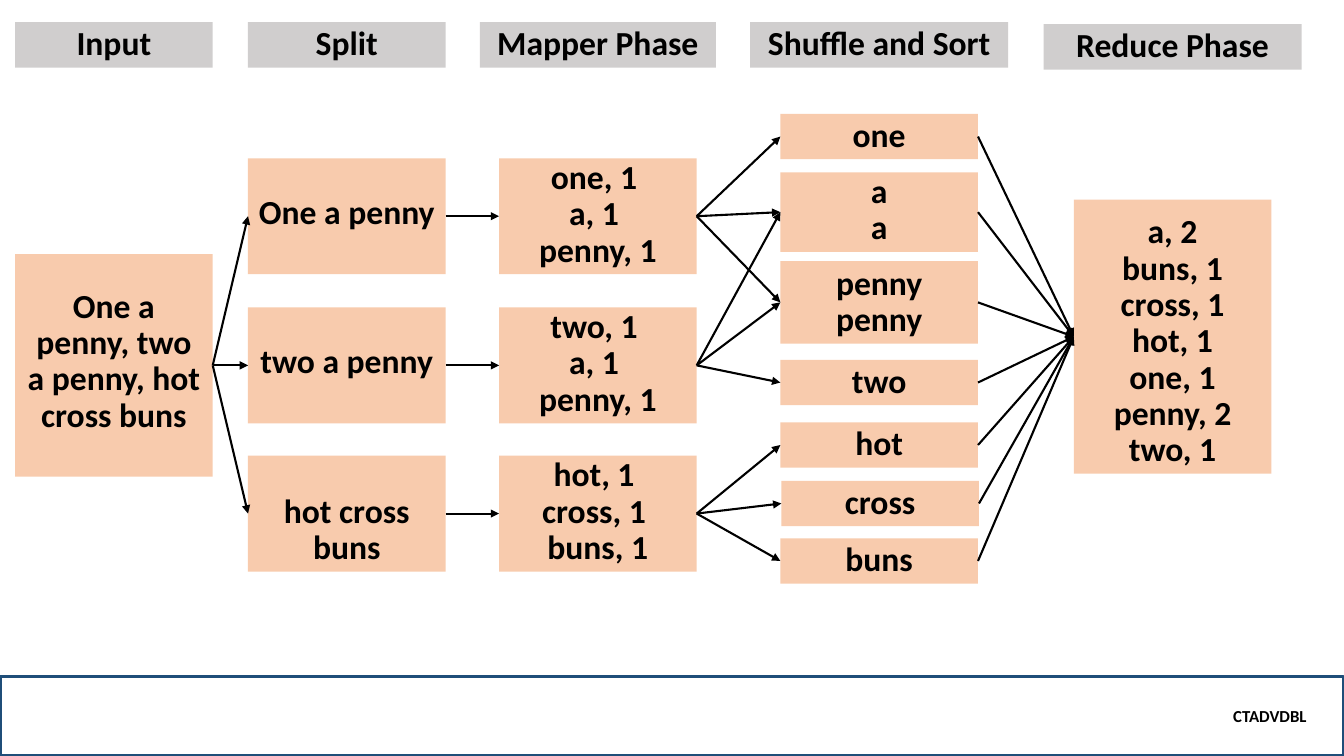
from dataclasses import dataclass

from lxml.etree import SubElement
from pptx import Presentation
from pptx.dml.color import RGBColor
from pptx.enum.shapes import MSO_CONNECTOR, MSO_SHAPE
from pptx.enum.text import MSO_ANCHOR, PP_ALIGN
from pptx.oxml.ns import qn
from pptx.shapes.autoshape import Shape
from pptx.slide import Slide
from pptx.util import Emu, Pt

PX = 9144  # 100 px to the inch
COLORS = {"header": "D0CECE", "data": "F8CBAD", "text": "000000", "footer": "1F4E79"}
BOX_W, LINE_H = 196, 45
RIGHT, LEFT = 3, 1
BOTTOM_INSET = 5
RAISED_INSET = 42  # lifts the text by one line


@dataclass
class Box:
    left: int
    top: int
    width: int
    height: int
    lines: list[str]
    bottom_inset: int = BOTTOM_INSET


HEADERS = [
    Box(15, 22, BOX_W, LINE_H, ["Input"]),
    Box(246, 22, BOX_W, LINE_H, ["Split"]),
    Box(476, 22, 234, LINE_H, ["Mapper Phase"]),
    Box(744, 22, 256, LINE_H, ["Shuffle and Sort"]),
    Box(1035, 24, 256, LINE_H, ["Reduce Phase"]),
]
INPUT = Box(15, 252, BOX_W, 221, ["One a penny, two a penny, hot cross buns"], RAISED_INSET)
ROW_TOPS = [157, 305, 452]
ROW_H = 115
SPLITS = [("One a penny", RAISED_INSET), ("two a penny", RAISED_INSET),
          ("hot cross buns", BOTTOM_INSET)]
MAPPED = [
    ["one, 1 ", "a, 1 ", "penny, 1"],
    ["two, 1 ", "a, 1 ", "penny, 1"],
    ["hot, 1 ", "cross, 1 ", "buns, 1"],
]
GROUPS = [
    Box(774, 113, BOX_W, LINE_H, ["one"]),
    Box(774, 171, BOX_W, 79, ["a", "a"]),
    Box(774, 259, BOX_W, 82, ["penny", "penny"]),
    Box(774, 357, BOX_W, LINE_H, ["two"]),
    Box(774, 419, BOX_W, LINE_H, ["hot"]),
    Box(775, 477, BOX_W, LINE_H, ["cross"]),
    Box(774, 534, BOX_W, LINE_H, ["buns"]),
]
SHUFFLE = [(0, 1, 2), (3, 1, 2), (4, 5, 6)]  # groups fed by each mapper
REDUCED = Box(1065, 198, BOX_W, 272, ["a, 2", "buns, 1", "cross, 1", "hot, 1",
                                      "one, 1", "penny, 2", "two, 1"])


def px(n: int) -> Emu:
    return Emu(n * PX)


def rgb(name: str) -> RGBColor:
    return RGBColor.from_string(COLORS[name])


def add_rect(s: Slide, box: Box, size: int, align: PP_ALIGN, spacing: float) -> Shape:
    """Add a rectangle with its text; fill and line are left to the caller."""
    sp = s.shapes.add_shape(MSO_SHAPE.RECTANGLE, px(box.left), px(box.top),
                            px(box.width), px(box.height))
    sp.shadow.inherit = False
    tf = sp.text_frame
    tf.word_wrap = True
    tf.margin_bottom = px(box.bottom_inset)
    tf.text = "\n".join(box.lines)
    for p in tf.paragraphs:
        p.alignment = align
        p.line_spacing = spacing
        p.font.name = "Calibri"
        p.font.size = Pt(size)
        p.font.bold = True
        p.font.color.rgb = rgb("text")
    return sp


def add_box(s: Slide, box: Box, color: str = "data") -> Shape:
    sp = add_rect(s, box, 24, PP_ALIGN.CENTER, 0.9)
    sp.text_frame.vertical_anchor = MSO_ANCHOR.BOTTOM
    sp.fill.solid()
    sp.fill.fore_color.rgb = rgb(color)
    sp.line.fill.background()
    return sp


def add_arrow(s: Slide, source: Shape, target: Shape) -> None:
    line = s.shapes.add_connector(MSO_CONNECTOR.STRAIGHT, 0, 0, 0, 0)
    line.begin_connect(source, RIGHT)
    line.end_connect(target, LEFT)
    line.line.color.rgb = rgb("text")
    line.line.width = Pt(1.5)
    SubElement(line.line._get_or_add_ln(), qn("a:tailEnd"), type="triangle")
    SubElement(line._element.spPr, qn("a:effectLst"))


def add_footer(s: Slide) -> None:
    sp = add_rect(s, Box(0, 671, 1333, 79, ["CTADVDBL"]), 12, PP_ALIGN.RIGHT, 1.0)
    sp.text_frame.vertical_anchor = MSO_ANCHOR.MIDDLE
    sp.text_frame.margin_right = px(37)
    sp.fill.background()
    sp.line.color.rgb = rgb("footer")
    sp.line.width = Pt(2.25)


def main() -> None:
    prs = Presentation()
    prs.slide_width, prs.slide_height = px(1333), px(750)
    s = prs.slides.add_slide(prs.slide_layouts[6])

    add_footer(s)
    for header in HEADERS:
        add_box(s, header, "header")

    source = add_box(s, INPUT)
    splits = [add_box(s, Box(246, top, BOX_W, ROW_H, [text], inset))
              for top, (text, inset) in zip(ROW_TOPS, SPLITS)]
    mappers = [add_box(s, Box(495, top, BOX_W, ROW_H, lines))
               for top, lines in zip(ROW_TOPS, MAPPED)]
    groups = [add_box(s, group) for group in GROUPS]
    reducer = add_box(s, REDUCED)

    for split, mapper, fed in zip(splits, mappers, SHUFFLE):
        add_arrow(s, source, split)
        add_arrow(s, split, mapper)
        for i in fed:
            add_arrow(s, mapper, groups[i])
    for group in groups:
        add_arrow(s, group, reducer)

    prs.save("out.pptx")


if __name__ == "__main__":
    main()
